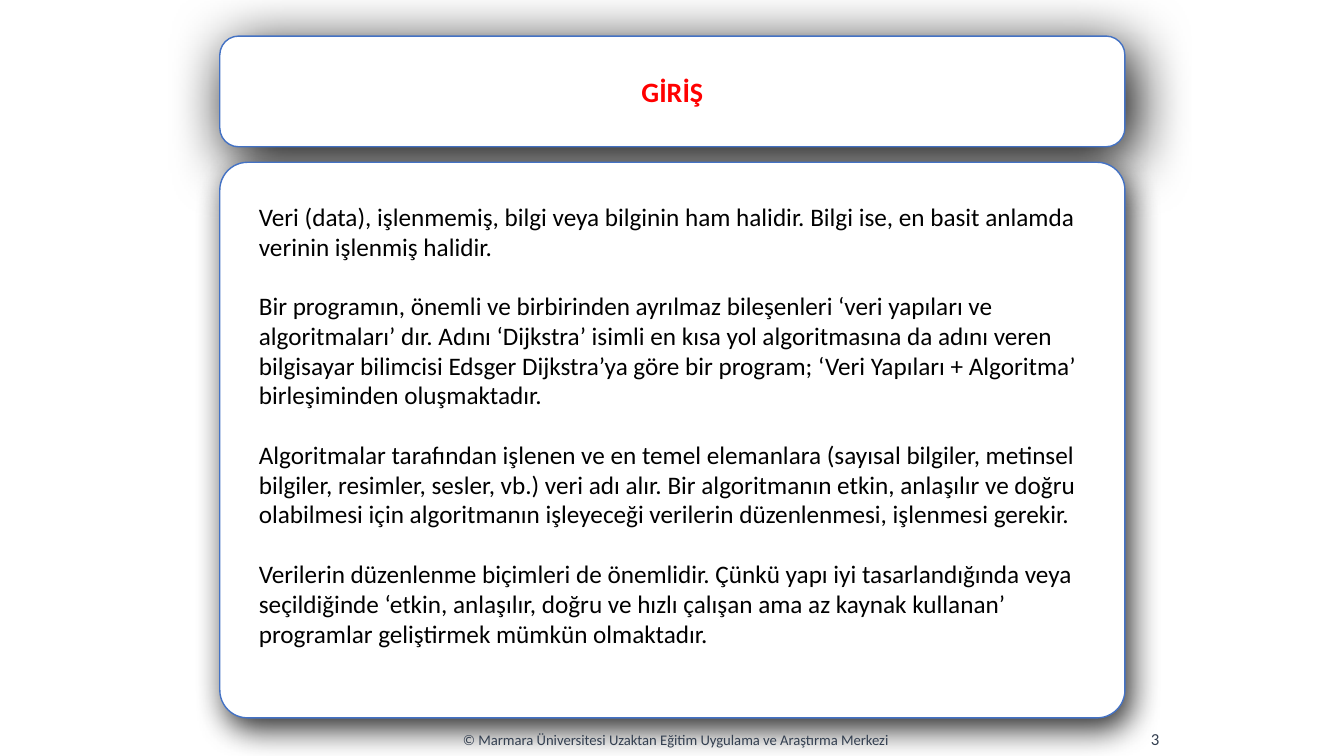
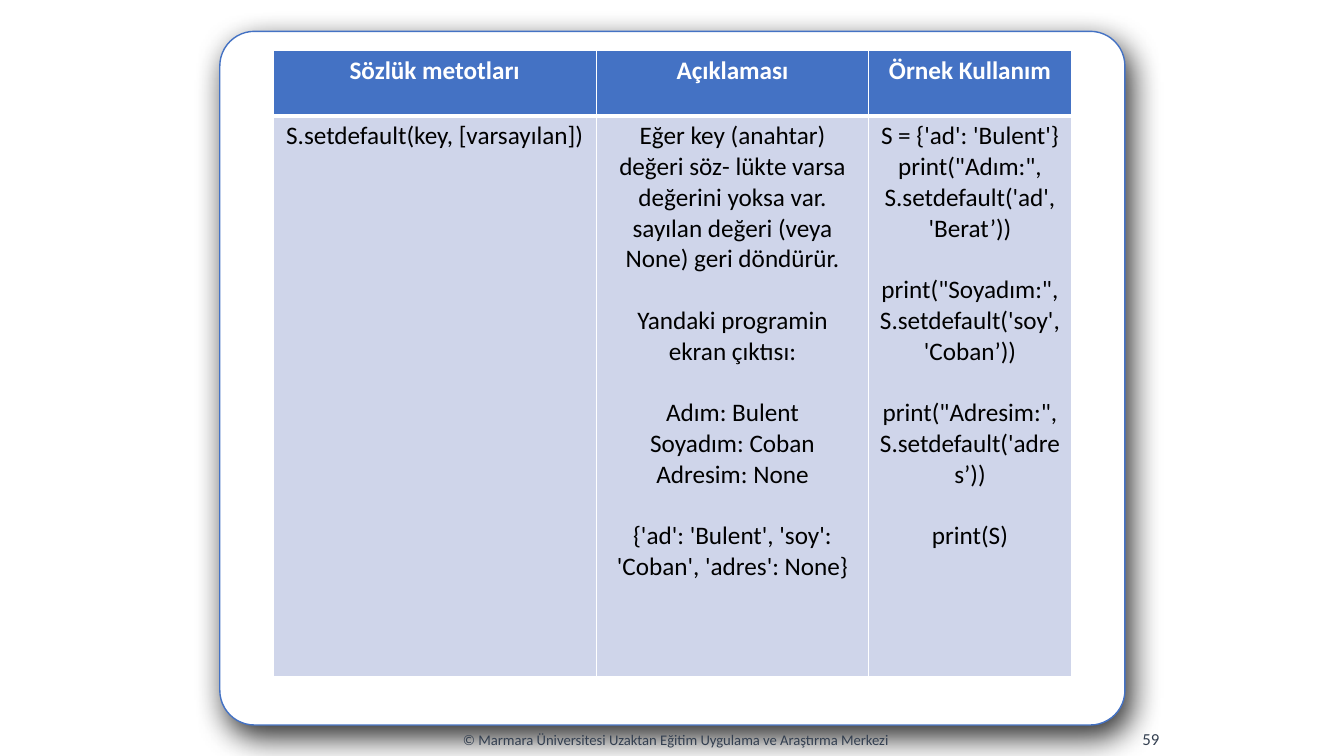
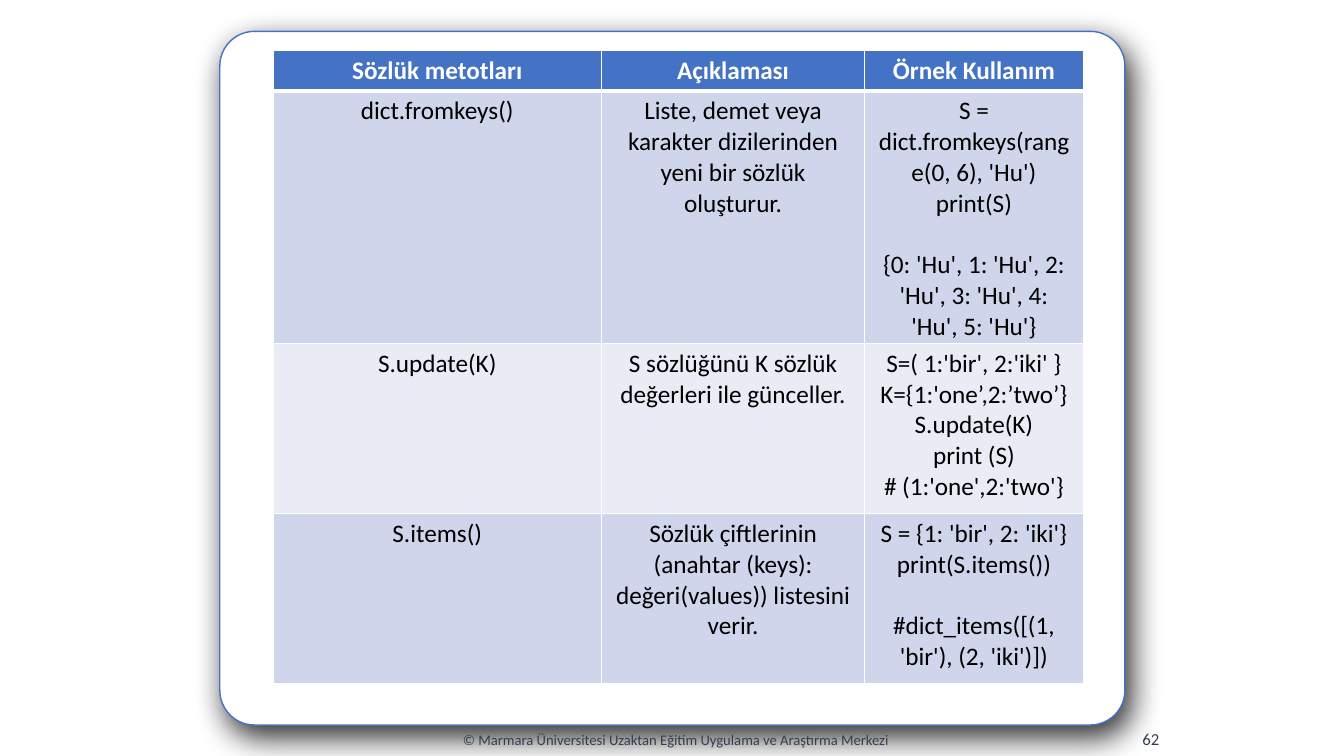
"""Build three lecture slides on data and Python dictionary methods."""
from lxml.etree import SubElement
from pptx import Presentation
from pptx.dml.color import RGBColor
from pptx.enum.shapes import MSO_SHAPE
from pptx.enum.text import MSO_ANCHOR, MSO_AUTO_SIZE, PP_ALIGN
from pptx.oxml.ns import qn
from pptx.util import Cm, Pt

paint = RGBColor.from_string
FONT = "Calibri"
WHITE, BLACK, BLUE, RED, SLATE = "FFFFFF", "000000", "4472C4", "FF0000", "333F50"
BANDS = ["CFD5EA", "E9EBF5"]
FOOTER = "© Marmara Üniversitesi Uzaktan Eğitim Uygulama ve Araştırma Merkezi"
HEADINGS = ["Sözlük metotları", "Açıklaması", "Örnek Kullanım"]
CARD_LEFT, CARD_WIDTH = 5.54, 22.81
LINE_GAP = 22


def write(frame, text, size, color, align, bold=False, spacing=1.0):
    """Fill a frame; a newline starts a paragraph, an empty line a gap."""
    frame.word_wrap = True
    for block_index, block in enumerate(text.split("\n\n")):
        for line_index, line in enumerate(block.split("\n")):
            first = block_index == line_index == 0
            para = frame.paragraphs[0] if first else frame.add_paragraph()
            para.text = line
            para.alignment = align
            para.line_spacing = spacing
            para.space_before = Pt(LINE_GAP * spacing if block_index and not line_index else 0)
            properties = para._p.get_or_add_pPr()
            properties.set("marL", "0")
            properties.set("indent", "0")
            SubElement(properties, qn("a:buNone"))
            para.font.name = FONT
            para.font.size = Pt(size)
            para.font.bold = bold
            para.font.color.rgb = paint(color)


def add_card(page, top, height, corner, opacity, blur, angle):
    """Add a white rounded card with a soft shadow."""
    card = page.shapes.add_shape(
        MSO_SHAPE.ROUNDED_RECTANGLE, Cm(CARD_LEFT), Cm(top), Cm(CARD_WIDTH), Cm(height))
    card.adjustments[0] = corner
    card.fill.solid()
    card.fill.fore_color.rgb = paint(WHITE)
    card.line.color.rgb = paint(BLUE)
    card.line.width = Pt(1)
    card.shadow.inherit = False
    effects = card.element.spPr.find(qn("a:effectLst"))
    shadow = SubElement(effects, qn("a:outerShdw"), blurRad=str(Pt(blur)), dist=str(Pt(9)),
                        dir=str(angle * 60000), algn="ctr", rotWithShape="0")
    tint = SubElement(shadow, qn("a:srgbClr"), val=BLACK)
    SubElement(tint, qn("a:alpha"), val=str(opacity * 1000))


deck = Presentation()
deck.slide_width, deck.slide_height = Cm(33.87), Cm(19.05)

intro = deck.slides.add_slide(deck.slide_layouts[1])
add_card(intro, 0.91, 2.79, 0.17, 99, 43, 60)
add_card(intro, 4.09, 14, 0.05, 81, 23, 64)

title, body = intro.placeholders
title.left, title.top, title.width, title.height = Cm(CARD_LEFT), Cm(0.91), Cm(CARD_WIDTH), Cm(2.79)
body.left, body.top, body.width, body.height = Cm(6.27), Cm(4.98), Cm(21.29), Cm(11.79)
for box in (title, body):
    intro.shapes.element.append(box.element)
    box.text_frame.auto_size = MSO_AUTO_SIZE.NONE
title.text_frame.vertical_anchor = MSO_ANCHOR.MIDDLE
body.text_frame.vertical_anchor = MSO_ANCHOR.TOP
write(title.text_frame, "GİRİŞ", 20, RED, PP_ALIGN.CENTER, bold=True)
write(body.text_frame, "\n\n".join([
    "Veri (data), işlenmemiş, bilgi veya bilginin ham halidir. Bilgi ise, en basit anlamda "
    "verinin işlenmiş halidir.",
    "Bir programın, önemli ve birbirinden ayrılmaz bileşenleri ‘veri yapıları ve algoritmaları’ "
    "dır. Adını ‘Dijkstra’ isimli en kısa yol algoritmasına da adını veren bilgisayar bilimcisi "
    "Edsger Dijkstra’ya göre bir program; ‘Veri Yapıları + Algoritma’ birleşiminden oluşmaktadır.",
    "Algoritmalar tarafından işlenen ve en temel elemanlara (sayısal bilgiler, metinsel bilgiler, "
    "resimler, sesler, vb.) veri adı alır. Bir algoritmanın etkin, anlaşılır ve doğru olabilmesi "
    "için algoritmanın işleyeceği verilerin düzenlenmesi, işlenmesi gerekir.",
    "Verilerin düzenlenme biçimleri de önemlidir. Çünkü yapı iyi tasarlandığında veya "
    "seçildiğinde ‘etkin, anlaşılır, doğru ve hızlı çalışan ama az kaynak kullanan’ programlar "
    "geliştirmek mümkün olmaktadır.",
]), 18, BLACK, PP_ALIGN.LEFT, spacing=0.98)

method_tables = [
    ([8.15, 6.86, 5.11], [1.65, 14.12], [
        ["S.setdefault(key, [varsayılan])",
         "Eğer key (anahtar) değeri söz- lükte varsa değerini yoksa var. sayılan değeri "
         "(veya None) geri döndürür.\n\nYandaki programin ekran çıktısı:\n\n"
         "Adım: Bulent\nSoyadım: Coban Adresim: None\n\n"
         "{'ad': 'Bulent', 'soy': 'Coban', 'adres': None}",
         "S = {'ad': 'Bulent'} print(\"Adım:\", S.setdefault('ad', 'Berat’))\n\n"
         "print(\"Soyadım:\", S.setdefault('soy', 'Coban’))\n\n"
         "print(\"Adresim:\", S.setdefault('adres’))\n\nprint(S)"],
    ]),
    ([8.28, 6.63, 5.51], [0.94, 5.89, 4.29, 4.29], [
        ["dict.fromkeys()",
         "Liste, demet veya karakter dizilerinden yeni bir sözlük oluşturur.",
         "S = dict.fromkeys(range(0, 6), 'Hu') print(S)\n\n"
         "{0: 'Hu', 1: 'Hu', 2: 'Hu', 3: 'Hu', 4: 'Hu', 5: 'Hu'}"],
        ["S.update(K)",
         "S sözlüğünü K sözlük değerleri ile günceller.",
         "S=( 1:'bir', 2:'iki' }\nK={1:'one’,2:’two’}\nS.update(K)\nprint (S)\n"
         "# (1:'one',2:'two'}"],
        ["S.items()",
         "Sözlük çiftlerinin (anahtar (keys): değeri(values)) listesini verir.",
         "S = {1: 'bir', 2: 'iki'}\nprint(S.items())\n\n#dict_items([(1, 'bir'), (2, 'iki')])"],
    ]),
]

for widths, heights, rows in method_tables:
    page = deck.slides.add_slide(deck.slide_layouts[6])
    add_card(page, 0.79, 17.48, 0.05, 81, 23, 64)
    table = page.shapes.add_table(
        len(heights), len(widths), Cm(6.88), Cm(1.27), Cm(sum(widths)), Cm(sum(heights))).table
    table.horz_banding = False
    for column, width in zip(table.columns, widths):
        column.width = Cm(width)
    for row_index, texts in enumerate([HEADINGS] + rows):
        table.rows[row_index].height = Cm(heights[row_index])
        header = row_index == 0
        for column_index, text in enumerate(texts):
            cell = table.cell(row_index, column_index)
            write(cell.text_frame, text, 18, WHITE if header else BLACK, PP_ALIGN.CENTER, header)
            borders = {"L": 1, "R": 1, "T": 3 if row_index == 1 else 1, "B": 3 if header else 1}
            for side, weight in borders.items():
                line = SubElement(cell._tc.get_or_add_tcPr(), qn(f"a:ln{side}"), w=str(Pt(weight)))
                SubElement(SubElement(line, qn("a:solidFill")), qn("a:srgbClr"), val=WHITE)
            cell.fill.solid()
            cell.fill.fore_color.rgb = paint(BLUE if header else BANDS[(row_index - 1) % 2])

for page, number in zip(deck.slides, ["3", "59", "62"]):
    for text, left, top, width, size, align in [
        (FOOTER, 9.53, 18.14, 15.01, 10.5, PP_ALIGN.CENTER),
        (number, 23.55, 18.11, 5.92, 12, PP_ALIGN.RIGHT),
    ]:
        box = page.shapes.add_textbox(Cm(left), Cm(top), Cm(width), Cm(1.02))
        box.text_frame.vertical_anchor = MSO_ANCHOR.MIDDLE
        write(box.text_frame, text, size, SLATE, align)

deck.save("out.pptx")
